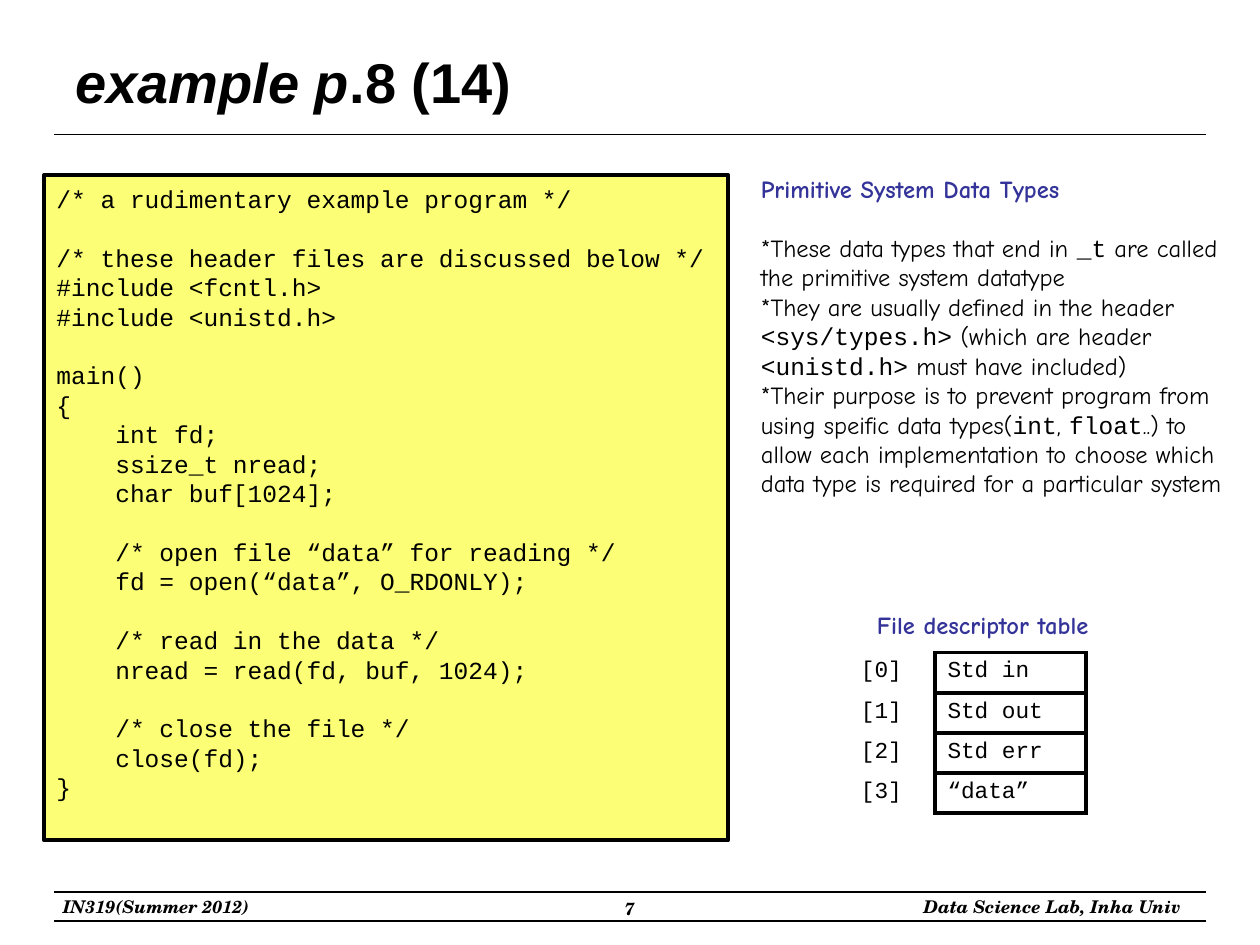
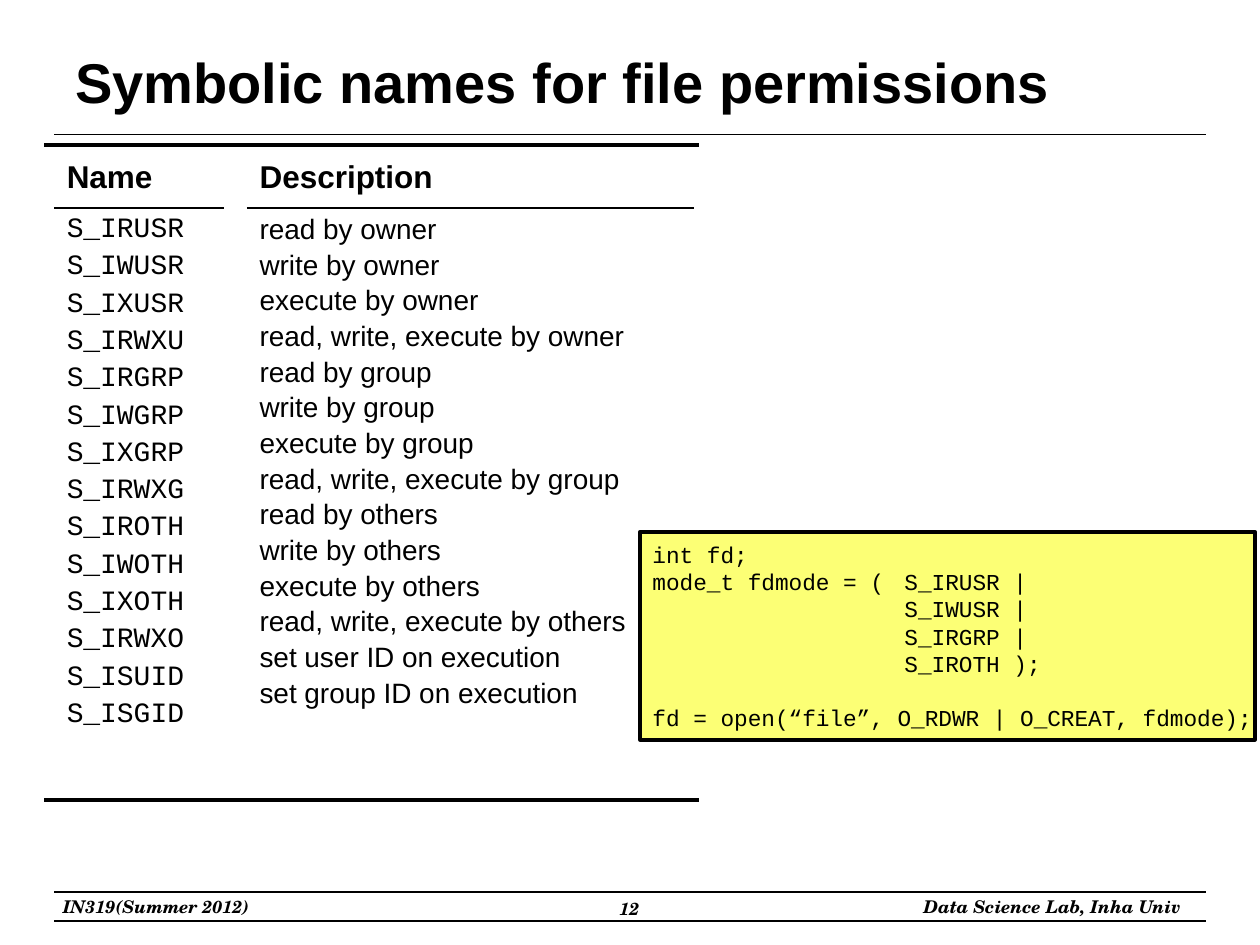
from dataclasses import dataclass

from lxml.etree import SubElement
from pptx import Presentation
from pptx.dml.color import RGBColor as RGB
from pptx.enum.shapes import MSO_CONNECTOR as CONNECTOR, MSO_SHAPE as SHAPE
from pptx.enum.text import MSO_ANCHOR as ANCHOR, PP_ALIGN as ALIGN
from pptx.oxml.ns import qn
from pptx.util import Emu, Inches, Pt


@dataclass(frozen=True)
class Theme:
    ink: RGB = RGB(0, 0, 0)
    accent: RGB = RGB(0x33, 0x33, 0x99)
    code_fill: RGB = RGB(0xFC, 0xFF, 0x75)
    sans: str = "Arial"
    mono: str = "Courier New"
    casual: str = "Comic Neue"
    serif: str = "TeX Gyre Schola"
    title: int = 32
    column_head: int = 18
    permission: int = 16
    body: int = 14
    small_code: int = 13
    footer: int = 10
    leading: float = 1.2
    thin: float = 0.75
    medium: float = 1
    thick: float = 2.25


THEME = Theme()
NO_GRID_STYLE = "{2D5ABB26-0587-4C30-8999-92F81FD0307C}"


def write(frame, lines, font, size, color=THEME.ink, bold=False, italic=False,
          align=ALIGN.LEFT, pitch=None, gap=0, tabs=()):
    """Write one paragraph per line; an empty line becomes space before the next.

    A line is a string or a list of (text, font name, italic) runs.
    """
    frame.word_wrap = True
    paragraph, space = frame.paragraphs[0], 0
    for number, line in enumerate(lines):
        if not line:
            space += pitch
            continue
        if number:
            paragraph = frame.add_paragraph()
        if tabs:
            stops = SubElement(paragraph._p.get_or_add_pPr(), qn("a:tabLst"))
            for stop in tabs:
                SubElement(stops, qn("a:tab"), pos=str(Inches(stop)), algn="l")
        paragraph.alignment = align
        paragraph.space_before = Pt(space)
        if pitch:
            paragraph.line_spacing = Pt(pitch)
        paragraph.font.size = Pt(size)
        paragraph.font.bold = bold
        paragraph.font.color.rgb = color
        if isinstance(line, str):
            paragraph.add_run().text = line
            paragraph.font.name, paragraph.font.italic = font, italic
        else:
            for text, run_font, run_italic in line:
                run = paragraph.add_run()
                run.text = text
                run.font.name, run.font.italic = run_font, run_italic
        space = gap


def border(cell, sides, width):
    """Draw solid cell edges; sides is a string such as "LRTB", in that order."""
    for side in sides:
        edge = SubElement(cell._tc.get_or_add_tcPr(), qn(f"a:ln{side}"), w=str(Pt(width)))
        color = SubElement(SubElement(edge, qn("a:solidFill")), qn("a:srgbClr"))
        color.set("val", str(THEME.ink))


deck = Presentation()
deck.slide_width, deck.slide_height = Inches(10), Inches(7.5)
example, permissions = [deck.slides.add_slide(deck.slide_layouts[6]) for _ in range(2)]

# Rules: left, right, height, width
frame_rules = [(0.43, 9.57, y, THEME.thin) for y in (1.07, 7.08, 7.31)]
list_rules = [(0.35, 5.55, y, THEME.thick) for y in (1.15, 6.35)]
for slide, rules in ((example, frame_rules), (permissions, frame_rules + list_rules)):
    for left, right, y, width in rules:
        rule = slide.shapes.add_connector(
            CONNECTOR.STRAIGHT, Inches(left), Inches(y), Inches(right), Inches(y))
        rule.line.color.rgb = THEME.ink
        rule.line.width = Pt(width)
        SubElement(rule._element.spPr, qn("a:effectLst"))

# Text boxes: slide, place, lines, style
title_style = dict(font=THEME.sans, size=THEME.title, bold=True)
footer_style = dict(font=THEME.serif, size=THEME.footer, bold=True, italic=True)
heading_style = dict(font=THEME.casual, size=THEME.body, color=THEME.accent, bold=True)
body_pitch = THEME.body * THEME.leading
sans, mono, casual = THEME.sans, THEME.mono, THEME.casual

data_type_notes = [
    [("*These data types that end in ", casual, False), ("_t", mono, False),
     (" are called the primitive system datatype", casual, False)],
    [("*They are usually defined in the header ", casual, False),
     ("<sys/types.h>", mono, False), (" (which are header ", casual, False),
     ("<unistd.h>", mono, False), (" must have included)", casual, False)],
    [("*Their purpose is to prevent program from using speific data types(", casual, False),
     ("int", mono, False), (", ", casual, False), ("float", mono, False),
     ("..) to allow each implementation to choose which data type is required "
      "for a particular system", casual, False)],
]

texts = [
    (example, (0.5, 0.3, 9, 0.69),
     [[("example p", sans, True), (".8 (14)", sans, False)]], title_style),
    (permissions, (0.5, 0.3, 9.5, 0.69),
     ["Symbolic names for file permissions"], title_style),
    (example, (5.94, 1.33, 3.98, 0.33), ["Primitive System Data Types"],
     heading_style | dict(pitch=body_pitch)),
    (example, (5.94, 1.8, 3.98, 2.42), data_type_notes,
     dict(font=casual, size=THEME.body, pitch=body_pitch)),
    (example, (6.63, 4.79, 2.34, 0.33), ["File descriptor table"],
     heading_style | dict(align=ALIGN.CENTER)),
]
for slide, page in ((example, "7"), (permissions, "12")):
    texts += [
        (slide, (0.4, 7.06, 1.9, 0.27), ["IN319(Summer 2012)"], footer_style),
        (slide, (3.83, 7.08, 2.33, 0.31), [page], footer_style | dict(align=ALIGN.CENTER)),
        (slide, (6.97, 7.06, 2.5, 0.27), ["Data Science Lab, Inha Univ"],
         footer_style | dict(align=ALIGN.RIGHT)),
    ]

for slide, place, lines, style in texts:
    frame = slide.shapes.add_textbox(*map(Inches, place)).text_frame
    if style is title_style:
        frame.vertical_anchor = ANCHOR.MIDDLE
    write(frame, lines, **style)

# Code listings
read_program = """\
/* a rudimentary example program */

/* these header files are discussed below */
#include <fcntl.h>
#include <unistd.h>

main()
{
    int fd;
    ssize_t nread;
    char buf[1024];

    /* open file “data” for reading */
    fd = open(“data”, O_RDONLY);

    /* read in the data */
    nread = read(fd, buf, 1024);

    /* close the file */
    close(fd);
}"""
create_call = """\
int fd;
mode_t fdmode = (\tS_IRUSR |
\t\tS_IWUSR |
\t\tS_IRGRP |
\t\tS_IROTH );

fd = open(“file”, O_RDWR | O_CREAT, fdmode);"""

for slide, place, code, size, tabs in (
    (example, (0.35, 1.39, 5.43, 5.28), read_program, THEME.body, ()),
    (permissions, (5.08, 4.22, 4.88, 1.65), create_call, THEME.small_code, (1, 2)),
):
    panel = slide.shapes.add_shape(SHAPE.RECTANGLE, *map(Inches, place))
    panel.shadow.inherit = False
    panel.fill.solid()
    panel.fill.fore_color.rgb = THEME.code_fill
    panel.line.color.rgb = THEME.ink
    panel.line.width = Pt(THEME.thick)
    frame = panel.text_frame
    frame.vertical_anchor = ANCHOR.TOP
    frame.margin_top, frame.margin_right = Inches(0.07), Emu(0)
    write(frame, code.splitlines(), THEME.mono, size, pitch=size * THEME.leading, tabs=tabs)

# Tables: each cell is lines, style, bordered sides, border width
descriptor_style = dict(font=THEME.mono, size=THEME.small_code)
descriptors = [
    [([f"[{number}]"], descriptor_style | dict(align=ALIGN.CENTER), "R", THEME.thick),
     ([target], descriptor_style, "LRTB", THEME.thick)]
    for number, target in enumerate(["Std in", "Std out", "Std err", "“data”"])
]

modes = []
for suffixes, who in (
    (("USR", "U"), "owner"), (("GRP", "G"), "group"), (("OTH", "O"), "others"),
):
    modes += [(f"S_I{letter}{suffixes[0]}", f"{action} by {who}")
              for letter, action in (("R", "read"), ("W", "write"), ("X", "execute"))]
    modes.append((f"S_IRWX{suffixes[1]}", f"read, write, execute by {who}"))
modes += [("S_ISUID", "set user ID on execution"), ("S_ISGID", "set group ID on execution")]
names, descriptions = zip(*modes)

head_style = dict(font=THEME.sans, size=THEME.column_head, bold=True)
tables = [(example, 6.57, 5.18, [0.85, 1.2], [0.32, 0.31, 0.31, 0.31], descriptors)]
for head, entries, font, gap, left, width in (
    ("Name", names, THEME.mono, 3.2, 0.43, 1.35),
    ("Description", descriptions, THEME.sans, 2.6, 1.96, 3.55),
):
    entry_style = dict(font=font, size=THEME.permission, gap=gap)
    tables.append((permissions, left, 1.22, [width], [0.43, 4.52], [
        [([head], head_style, "B", THEME.medium)],
        [(entries, entry_style, "T", THEME.medium)],
    ]))

for slide, left, top, widths, heights, rows in tables:
    table = slide.shapes.add_table(
        len(heights), len(widths), Inches(left), Inches(top),
        Inches(sum(widths)), Inches(sum(heights))).table
    table.first_row = table.horz_banding = False
    table._tbl.tblPr.find(qn("a:tableStyleId")).text = NO_GRID_STYLE
    for column, width in zip(table.columns, widths):
        column.width = Inches(width)
    for r, (height, row) in enumerate(zip(heights, rows)):
        table.rows[r].height = Inches(height)
        for c, (lines, style, sides, line_width) in enumerate(row):
            cell = table.cell(r, c)
            write(cell.text_frame, lines, **style)
            border(cell, sides, line_width)
            cell.fill.background()

deck.save("out.pptx")
